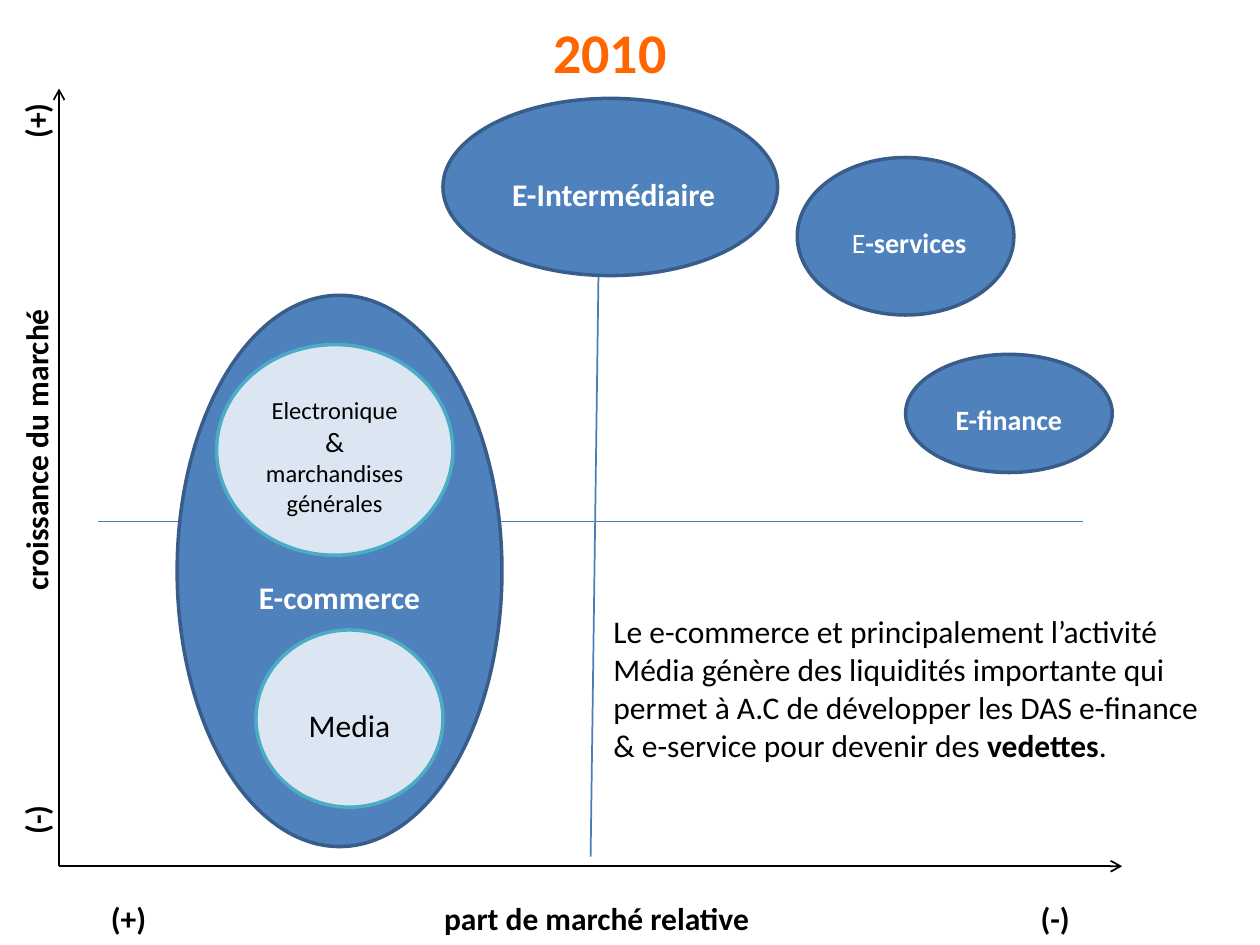
from lxml import etree
from pptx import Presentation
from pptx.dml.color import RGBColor
from pptx.enum import shapes as sh, text as tx
from pptx.oxml import ns
from pptx.util import Pt

HUES = {
    "blue": "4F81BD", "navy": "385D8A", "rule": "4A7EBB", "pale": "DCE6F2",
    "teal": "4BACC6", "black": "000000", "white": "FFFFFF", "orange": "FF6600",
}


class Deck:
    """Style and current slide of the growth and share matrix."""

    font = "Calibri"

    def __init__(self, file):
        self.slide = file.slides.add_slide(file.slide_layouts[1])

    def hue(self, name):
        return RGBColor.from_string(HUES[name])

    def say(self, frame, lines, hue, align=tx.PP_ALIGN.CENTER, pad=(0, 0),
            anchor=tx.MSO_ANCHOR.MIDDLE, wrap=True):
        frame.auto_size = tx.MSO_AUTO_SIZE.NONE
        frame.word_wrap = wrap
        frame.vertical_anchor = anchor
        frame.margin_left, frame.margin_top = Pt(pad[0]), Pt(pad[1])
        frame.margin_right = frame.margin_bottom = 0
        for i, runs in enumerate(lines):
            para = frame.add_paragraph() if i else frame.paragraphs[0]
            para.alignment = align
            para.space_before = Pt(0)
            for words, size, bold in runs:
                run = para.add_run()
                run.text = words
                run.font.name = self.font
                run.font.size = Pt(size)
                run.font.bold = bold
                run.font.color.rgb = self.hue(hue)

    def place(self, item, box):
        item.left, item.top, item.width, item.height = map(Pt, box)

    def title(self, words, box):
        head = self.slide.shapes.title
        self.place(head, box)
        self.say(head.text_frame, [[(words, 32, True)]], "orange")

    def body(self, runs, box):
        note = self.slide.placeholders[1]
        self.place(note, box)
        self.say(note.text_frame, [runs], "black", tx.PP_ALIGN.LEFT,
                 anchor=tx.MSO_ANCHOR.TOP)
        para = note.text_frame.paragraphs[0]
        para.line_spacing = Pt(21.6)
        props = para._p.get_or_add_pPr()
        props.set("marL", "0")
        props.set("indent", "0")
        etree.SubElement(props, ns.qn("a:buNone"))

    def oval(self, box, lines, fill="blue", edge="navy", ink="white", pad=(0, 7)):
        item = self.slide.shapes.add_shape(sh.MSO_SHAPE.OVAL, *map(Pt, box))
        item.shadow.inherit = False
        item.fill.solid()
        item.fill.fore_color.rgb = self.hue(fill)
        item.line.color.rgb = self.hue(edge)
        item.line.width = Pt(2)
        self.say(item.text_frame, lines, ink, pad=pad)

    def line(self, start, end, hue="rule", arrow=False):
        item = self.slide.shapes.add_connector(
            sh.MSO_CONNECTOR.STRAIGHT, *map(Pt, start + end))
        item.line.color.rgb = self.hue(hue)
        item.line.width = Pt(1)
        props = item._element.spPr
        if arrow:
            stroke = props.find(ns.qn("a:ln"))
            etree.SubElement(stroke, ns.qn("a:tailEnd"), type="arrow")
        etree.SubElement(props, ns.qn("a:effectLst"))

    def label(self, words, x, y, turn=0):
        wide, high = 200, 22
        item = self.slide.shapes.add_textbox(
            Pt(x - wide / 2), Pt(y - high / 2), Pt(wide), Pt(high))
        item.rotation = turn
        self.say(item.text_frame, [[(words, 18, True)]], "black")


def main():
    file = Presentation()
    file.slide_width, file.slide_height = Pt(720), Pt(540)
    deck = Deck(file)
    deck.title("2010", (288.5, 9.5, 120, 39))
    deck.body([
        ("Le e-commerce et principalement l’activité Média génère des liquidités "
         "importante qui permet à A.C de développer les DAS e-finance "
         "& e-service pour devenir des ", 18, False),
        ("vedettes", 18, True),
        (".", 18, False),
    ], (350.5, 350, 346, 90))

    deck.line((56.25, 298), (618.75, 298))
    deck.line((343.2, 67.5), (337.5, 489.5))
    origin = (33.75, 495)
    deck.line(origin, (641.25, 495), "black", True)
    deck.line(origin, (33.75, 50.6), "black", True)

    deck.oval((517.5, 202.5, 118.1, 67.5), [[("E-finance", 16, True)]])
    deck.oval((455.6, 90, 123.75, 90),
              [[("E", 16, False), ("-services", 16, True)]], pad=(4, 7))
    deck.oval((253.1, 56.25, 191.25, 101.25),
              [[("E-Intermédiaire", 18, True)]], pad=(4, 8))
    deck.oval((101.25, 168.75, 185.6, 315),
              [[("E-commerce", 18, True)]], pad=(0, 30))
    pale = ("pale", "teal", "black")
    goods = (("Electronique", 14), ("&", 16), ("marchandises", 14), ("générales", 14))
    deck.oval((123.75, 196.9, 135, 120.4),
              [[(words, size, False)] for words, size in goods], *pale)
    deck.oval((146.25, 360, 106.9, 101.25), [[("Media", 18, False)]], *pale)

    for words, y in (("(-)", 468.5), ("croissance du marché", 257), ("(+)", 69)):
        deck.label(words, 20.5, y, 270)
    for words, x in (("(+)", 73.5), ("part de marché relative", 341), ("(-)", 603)):
        deck.label(words, x, 524.5)
    file.save("out.pptx")


if __name__ == "__main__":
    main()
